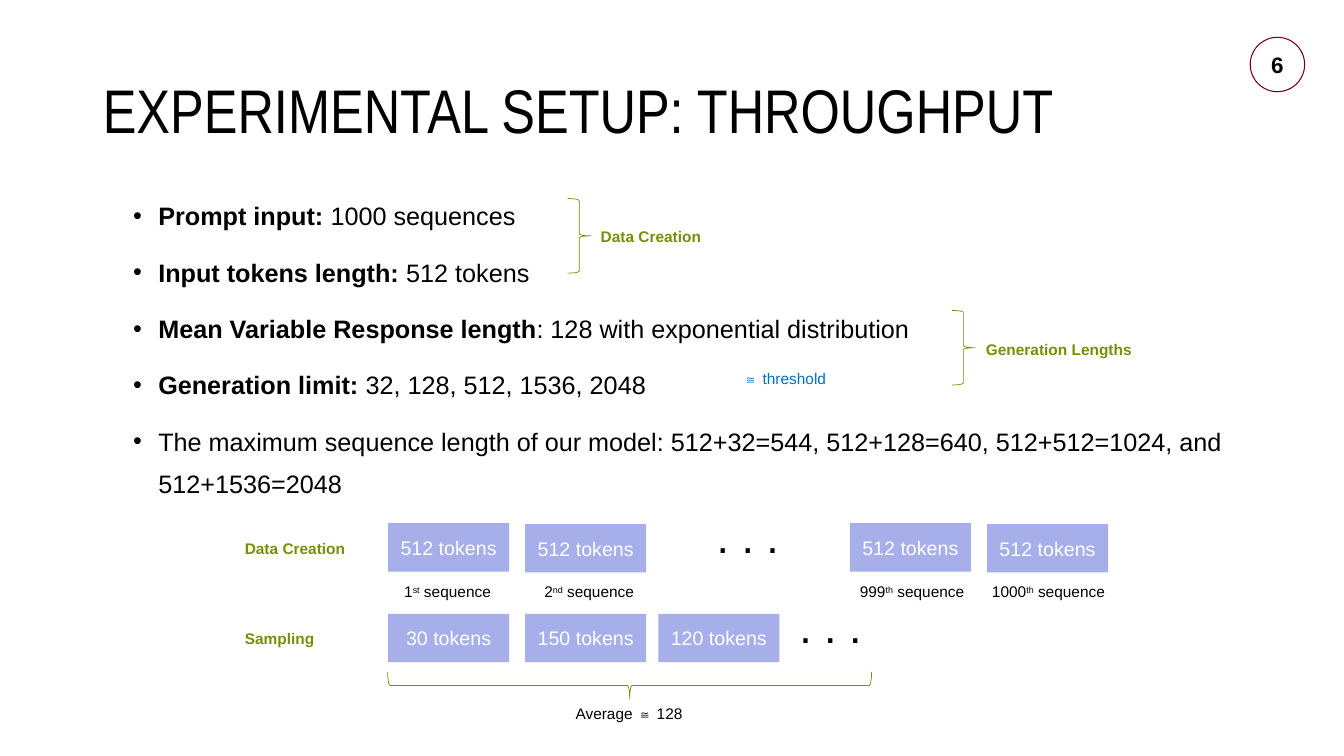
from pptx import Presentation
from pptx.dml.color import RGBColor
from pptx.enum.shapes import MSO_SHAPE
from pptx.enum.text import MSO_ANCHOR, MSO_AUTO_SIZE, PP_ALIGN
from pptx.oxml.ns import qn
from pptx.util import Inches, Pt
from lxml.etree import SubElement

COLORS = {
    "black": "000000",
    "white": "FFFFFF",
    "ring": "73000A",
    "box": "A6AFEA",
    "olive": "759005",
    "blue": "0070C0",
}
POINTS = [
    ("Prompt input: ", "1000 sequences"),
    ("Input tokens length: ", "512 tokens"),
    ("Mean Variable Response length", ": 128 with exponential distribution"),
    ("Generation limit: ", "32, 128, 512, 1536, 2048"),
    ("", "The maximum sequence length of our model: 512+32=544, 512+128=640, "
         "512+512=1024, and 512+1536=2048"),
]
TOKENS = [
    (3.85, 5.19, "512"),
    (5.21, 5.2, "512"),
    (8.43, 5.19, "512"),
    (9.79, 5.2, "512"),
    (3.85, 6.09, "30"),
    (5.21, 6.09, "150"),
    (6.53, 6.09, "120"),
]
ORDERS = [
    (3.91, 1.08, "1", "st"),
    (5.3, 1.12, "2", "nd"),
    (8.43, 1.26, "999", "th"),
    (9.74, 1.34, "1000", "th"),
]
LABELS = [
    (5.86, 2.2, 1.2, "Data Creation"),
    (9.68, 3.32, 1.66, "Generation Lengths"),
    (2.33, 5.3, 1.2, "Data Creation"),
    (2.33, 6.19, 0.9, "Sampling"),
]


def tint(name):
    return RGBColor.from_string(COLORS[name])


def style(run, size, color="black", bold=False, face="Arial"):
    font = run.font
    font.name, font.size, font.bold = face, Pt(size), bold
    font.color.rgb = tint(color)


def place(shape, *area):
    shape.left, shape.top, shape.width, shape.height = map(Inches, area)


def add_title(slide, text):
    title = slide.shapes.title
    place(title, 0.92, 0.4, 11.5, 1.45)
    frame = title.text_frame
    frame.text = text
    frame.auto_size = MSO_AUTO_SIZE.NONE
    frame.vertical_anchor = MSO_ANCHOR.MIDDLE
    para = frame.paragraphs[0]
    para.alignment = PP_ALIGN.LEFT
    para.line_spacing = 0.9
    style(para.runs[0], 44, face="Arial Narrow")


def add_list(slide, points):
    body = slide.placeholders[1]
    place(body, 1.22, 1.82, 11.2, 3.22)
    frame = body.text_frame
    frame.auto_size = MSO_AUTO_SIZE.NONE
    frame.vertical_anchor = MSO_ANCHOR.TOP
    for index, parts in enumerate(points):
        para = frame.paragraphs[0] if index == 0 else frame.add_paragraph()
        para.line_spacing = 1.4
        para.space_before = Pt(10)
        props = para._p.get_or_add_pPr()
        props.set("marL", str(Inches(0.25)))
        props.set("indent", str(-Inches(0.25)))
        SubElement(props, qn("a:buFont")).set("typeface", "Arial")
        SubElement(props, qn("a:buChar")).set("char", "•")
        for part, bold in zip(parts, (True, False)):
            if part:
                run = para.add_run()
                run.text = part
                style(run, 18, bold=bold)


def add_form(slide, kind, area, fill=None, line=None, width=0.5):
    form = slide.shapes.add_shape(kind, *map(Inches, area))
    form.shadow.inherit = False
    if fill:
        form.fill.solid()
        form.fill.fore_color.rgb = tint(fill)
    else:
        form.fill.background()
    if line:
        form.line.color.rgb = tint(line)
        form.line.width = Pt(width)
    else:
        form.line.fill.background()
    return form


def fill_text(form, text, size, color="black", bold=False):
    frame = form.text_frame
    frame.text = text
    frame.word_wrap = False
    frame.vertical_anchor = MSO_ANCHOR.MIDDLE
    para = frame.paragraphs[0]
    para.alignment = PP_ALIGN.CENTER
    style(para.runs[0], size, color, bold)


def add_brace(slide, *area, turn=0):
    brace = add_form(slide, MSO_SHAPE.RIGHT_BRACE, area, line="olive")
    brace.rotation = turn


def add_label(slide, area, parts, size=11, color="black", bold=False):
    box = slide.shapes.add_textbox(*map(Inches, area))
    frame = box.text_frame
    frame.word_wrap = False
    frame.auto_size = MSO_AUTO_SIZE.SHAPE_TO_FIT_TEXT
    for index, part in enumerate(parts):
        run = frame.paragraphs[0].add_run()
        run.text = part
        style(run, size, color, bold)
        if index == 1:
            run._r.get_or_add_rPr().set("baseline", "30000")


def main():
    deck = Presentation()
    deck.slide_width, deck.slide_height = Inches(13.33), Inches(7.5)
    slide = deck.slides.add_slide(deck.slide_layouts[1])

    add_title(slide, "EXPERIMENTAL SETUP: THROUGHPUT")
    add_list(slide, POINTS)
    badge = add_form(slide, MSO_SHAPE.OVAL, (12.4, 0.37, 0.54, 0.54),
                     line="ring", width=0.75)
    fill_text(badge, "6", 16, bold=True)

    for left, top, count in TOKENS:
        box = add_form(slide, MSO_SHAPE.RECTANGLE, (left, top, 1.2, 0.48), "box")
        fill_text(box, f"{count} tokens", 14, "white")
    for left, width, count, suffix in ORDERS:
        add_label(slide, (left, 5.73, width, 0.29), (count, suffix, " sequence"))
    for left, top in ((7.01, 5), (7.83, 5.89)):
        add_label(slide, (left, top, 0.82, 0.64), [". . ."], 32)

    add_brace(slide, 5.63, 1.97, 0.23, 0.74)
    add_brace(slide, 9.44, 3.08, 0.23, 0.74)
    add_brace(slide, 6.11, 4.4, 0.27, 4.8, turn=90)
    for left, top, width, text in LABELS:
        add_label(slide, (left, top, width, 0.29), [text], color="olive", bold=True)
    add_label(slide, (5.61, 6.94, 1.28, 0.29), ["Average ≅ 128"])
    add_label(slide, (7.27, 3.61, 1.04, 0.29), ["≅ threshold"], color="blue")

    deck.save("out.pptx")


if __name__ == "__main__":
    main()
